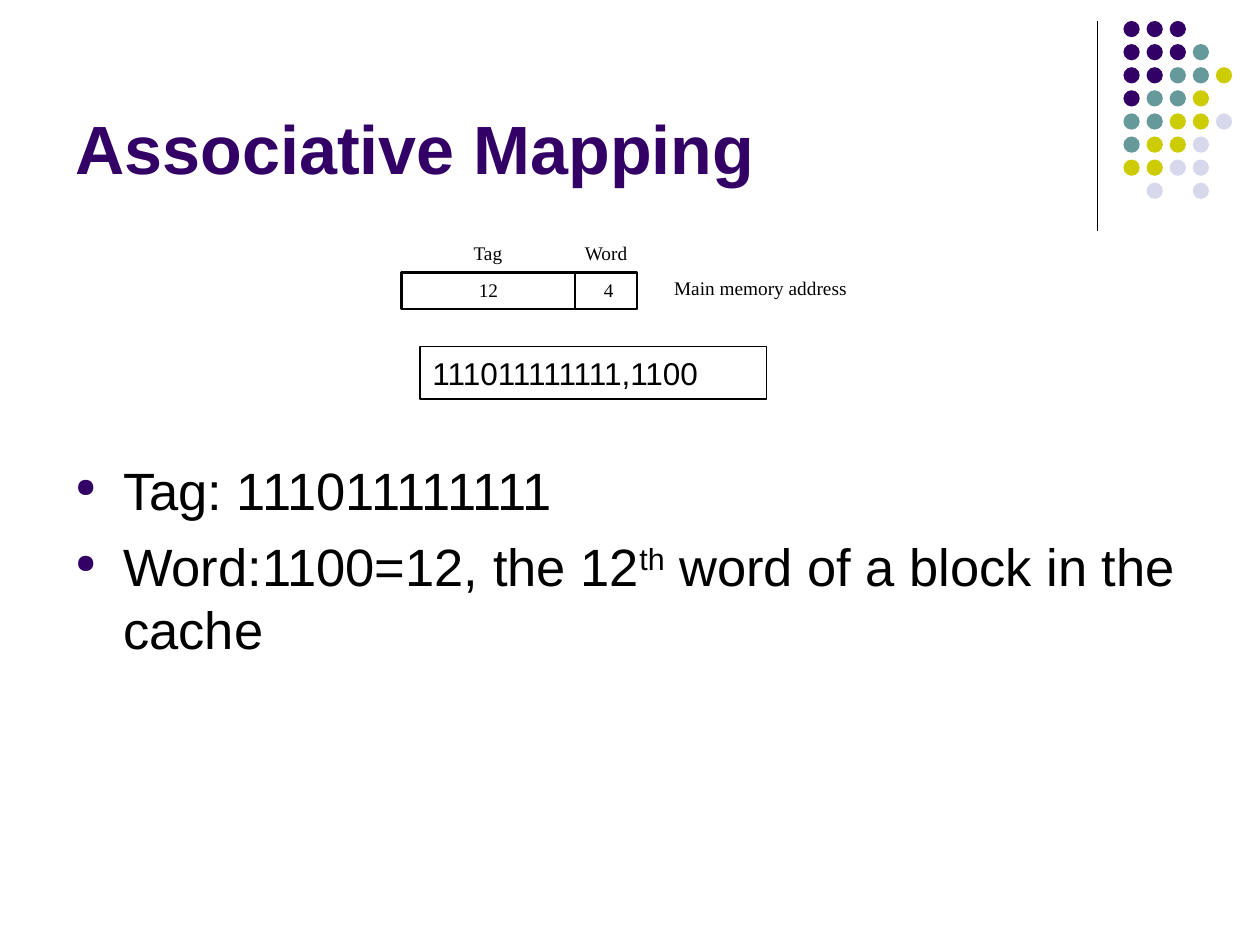
from lxml import etree
from pptx import Presentation
from pptx.dml.color import RGBColor as Color
from pptx.enum.shapes import MSO_CONNECTOR as Connector, MSO_SHAPE as Shape
from pptx.enum.text import MSO_ANCHOR as Anchor, MSO_AUTO_SIZE as AutoSize, PP_ALIGN as Align
from pptx.oxml.ns import qn
from pptx.util import Inches, Pt

WIDTH, HEIGHT = Inches(10), Inches(7.5)
COLUMNS, ROWS = 120, 90
COLORS = {"purple": "330066", "teal": "669999", "lime": "CCCC00",
          "mist": "D8D8EC", "black": "000000"}
TITLE = {"name": "Arial", "size": Pt(39), "bold": True}
BODY = {"name": "Arial", "size": Pt(30)}
ADDRESS = {"name": "Arial", "size": Pt(18)}
LABEL = {"name": "Times New Roman", "size": Pt(11)}
FLUSH = {"margin_left": 0, "margin_top": 0, "margin_right": 0, "margin_bottom": 0,
         "word_wrap": True, "auto_size": AutoSize.NONE}
DOT_COLORS = {"P": "purple", "T": "teal", "L": "lime", "M": "mist"}
DOT_ROWS = ["PPP", "PPPT", "PPTTL", "PTTL", "TTLLM", "TLLM", "LLMM", " M M"]


def color(name):
    return Color.from_string(COLORS[name])


def emu(left, top, width, height):
    across, down = WIDTH / COLUMNS, HEIGHT / ROWS
    return [round(n) for n in (left * across, top * down, width * across, height * down)]


def apply(target, values):
    for name, value in values.items():
        setattr(target, name, value)


def write(para, text, style, shade="black"):
    span = para.add_run()
    span.text = text
    apply(span.font, style)
    span.font.color.rgb = color(shade)
    return span


def add_line(page, left, top, width, height, weight):
    x, y, w, h = emu(left, top, width, height)
    line = page.shapes.add_connector(Connector.STRAIGHT, x, y, x + w, y + h)
    line.line.color.rgb = color("black")
    line.line.width = Pt(weight)
    etree.SubElement(line._element.spPr, qn("a:effectLst"))


def add_frame(page, kind, box, weight):
    frame = page.shapes.add_shape(kind, *emu(*box))
    frame.shadow.inherit = False
    frame.fill.background()
    frame.line.color.rgb = color("black")
    frame.line.width = Pt(weight)
    return frame


def add_ornament(page, box):
    left, top, width, height = box
    add_line(page, left, top, 0, height, 0.75)
    pitch, size = 2.2, 1.55
    group = page.shapes.add_group_shape()
    for row, marks in enumerate(DOT_ROWS):
        for column, mark in enumerate(marks):
            if mark in DOT_COLORS:
                place = emu(left + 2.5 + column * pitch, top + row * pitch, size, size)
                dot = group.shapes.add_shape(Shape.OVAL, *place)
                dot.shadow.inherit = False
                dot.fill.solid()
                dot.fill.fore_color.rgb = color(DOT_COLORS[mark])
                dot.line.fill.background()


def add_title(page, box):
    title = page.shapes.title
    apply(title, dict(zip(("left", "top", "width", "height"), emu(*box))))
    apply(title.text_frame, {"vertical_anchor": Anchor.BOTTOM, "word_wrap": True,
                             "auto_size": AutoSize.NONE})
    para = title.text_frame.paragraphs[0]
    para.alignment = Align.LEFT
    write(para, "Associative Mapping", TITLE, "purple")


def add_address_format(page, box):
    left, top, width, height = box
    add_frame(page, Shape.RECTANGLE, (left, top + 2.95, 22.45, 3.5), 1.25)
    add_line(page, left + 16.5, top + 2.95, 0, 3.5, 1.25)
    labels = [("Tag", 6.85, 0, 4), ("Word", 17.45, 0, 5.5), ("12", 7.35, 3.5, 3),
              ("4", 19.25, 3.5, 2), ("Main memory address", 25.95, 3.3, 18)]
    for text, across, down, span_width in labels:
        label = page.shapes.add_textbox(*emu(left + across, top + down, span_width, 2.15))
        apply(label.text_frame, FLUSH)
        write(label.text_frame.paragraphs[0], text, LABEL)


def add_address(page, box):
    frame = add_frame(page, Shape.FLOWCHART_PROCESS, box, 0.75).text_frame
    apply(frame, {"vertical_anchor": Anchor.MIDDLE, "word_wrap": True,
                  "margin_left": Inches(0.1), "margin_right": Inches(0.1)})
    frame.paragraphs[0].alignment = Align.LEFT
    write(frame.paragraphs[0], "111011111111,1100", ADDRESS)


def add_bullet(para):
    para.space_before = Pt(7.5)
    props = para._p.get_or_add_pPr()
    props.set("marL", str(Inches(0.38)))
    props.set("indent", str(-Inches(0.38)))
    shade = etree.SubElement(props, qn("a:buClr"))
    etree.SubElement(shade, qn("a:srgbClr"), val=COLORS["purple"])
    etree.SubElement(props, qn("a:buSzPct"), val="50000")
    etree.SubElement(props, qn("a:buChar"), char="●")


def add_body(page, box):
    frame = page.shapes.add_textbox(*emu(*box)).text_frame
    frame.word_wrap = True
    tag = frame.paragraphs[0]
    word = frame.add_paragraph()
    for para in (tag, word):
        add_bullet(para)
    write(tag, "Tag: 111011111111", BODY)
    write(word, "Word:1100=12, the 12", BODY)
    ordinal = write(word, "th", BODY)
    ordinal._r.get_or_add_rPr().set("baseline", "30000")
    write(word, " word of a block in the cache", BODY)


def main():
    deck = Presentation()
    apply(deck, {"slide_width": WIDTH, "slide_height": HEIGHT})
    page = deck.slides.add_slide(deck.slide_layouts[5])
    add_ornament(page, (104.5, 2, 13, 20))
    add_title(page, (6, 1.5, 99, 17))
    add_body(page, (6, 43, 108, 37.5))
    add_address(page, (40, 33, 33, 5))
    add_address_format(page, (38.25, 23, 43.95, 6.45))
    deck.save("out.pptx")


if __name__ == "__main__":
    main()
